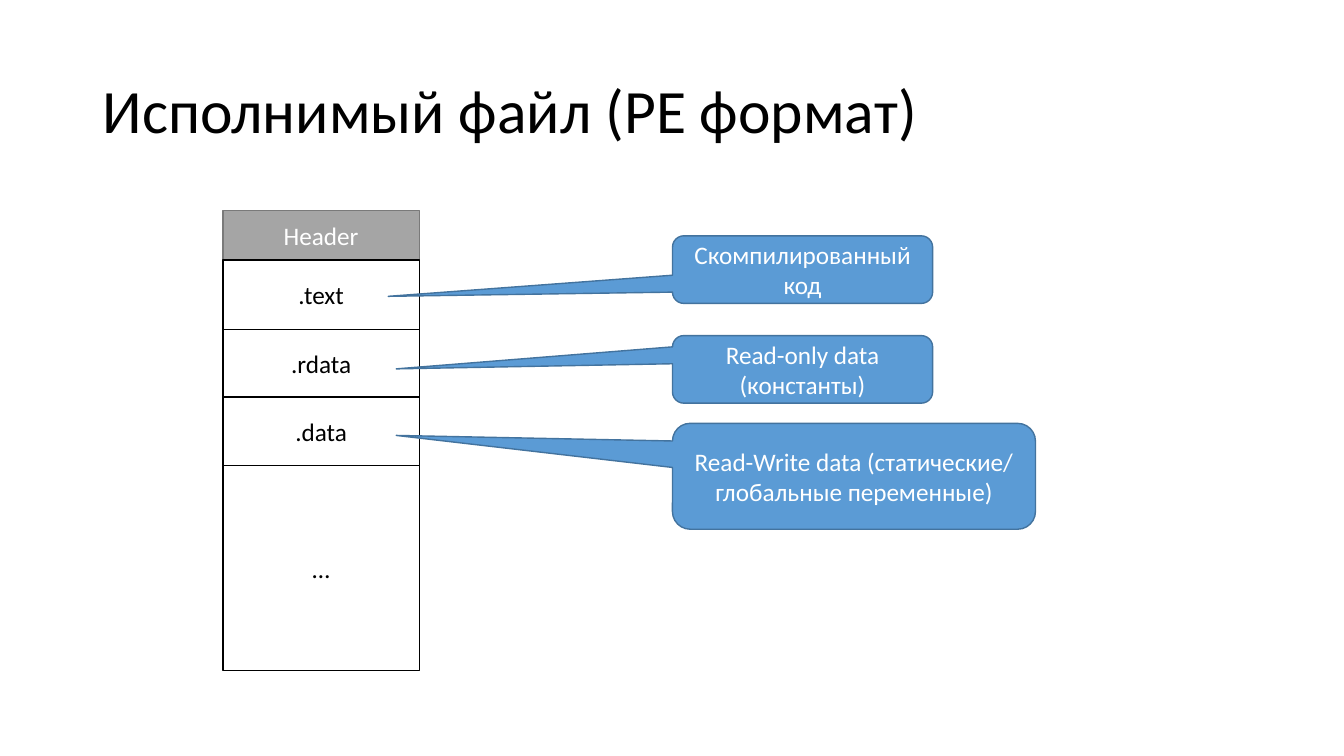
from dataclasses import dataclass

from pptx import Presentation
from pptx.dml.color import RGBColor
from pptx.enum.shapes import MSO_SHAPE
from pptx.enum.text import MSO_ANCHOR, PP_ALIGN
from pptx.shapes.autoshape import Shape
from pptx.shapes.shapetree import GroupShapes, SlideShapes
from pptx.util import Emu, Pt

EMU_PER_PX = 9144
FONT = "Calibri"
BLACK, WHITE = "000000", "FFFFFF"
SECTION_LEFT, SECTION_TOP, SECTION_WIDTH = 221, 209, 195
NOTE_LEFT = 667


@dataclass(frozen=True)
class Section:
    label: str
    height: int
    fill: str = WHITE
    outline: str = BLACK
    ink: str = BLACK


@dataclass(frozen=True)
class Note:
    text: str
    top: int
    width: int
    height: int
    tip_x: int
    tip_y: int


SECTIONS = [
    Section("Header", 49, "A5A5A5", "7A7A7A", WHITE),
    Section(".text", 69),
    Section(".rdata", 67),
    Section(".data", 68),
    Section("…", 203),
]

NOTES = [
    Note("Скомпилированный код", 234, 258, 67, 385, 294),
    Note("Read-only data (константы)", 333, 258, 67, 393, 366),
    Note("Read-Write data (статические/ глобальные переменные)", 420, 360, 105, 393, 432),
]


def px(length: int) -> Emu:
    return Emu(length * EMU_PER_PX)


def color(value: str) -> RGBColor:
    return RGBColor.from_string(value)


def write(shape: Shape, text: str, size: int, ink: str, align: PP_ALIGN) -> None:
    frame = shape.text_frame
    frame.word_wrap = True
    frame.vertical_anchor = MSO_ANCHOR.MIDDLE
    paragraph = frame.paragraphs[0]
    paragraph.text = text
    paragraph.alignment = align
    paragraph.font.name = FONT
    paragraph.font.size = Pt(size)
    paragraph.font.color.rgb = color(ink)


def paint(shape: Shape, fill: str, outline: str) -> None:
    shape.shadow.inherit = False
    shape.fill.solid()
    shape.fill.fore_color.rgb = color(fill)
    shape.line.color.rgb = color(outline)
    shape.line.width = Pt(1)


def draw_title(shapes: SlideShapes) -> None:
    title = shapes.add_textbox(px(92), px(40), px(1150), px(145))
    write(title, "Исполнимый файл (PE формат)", 44, BLACK, PP_ALIGN.LEFT)
    title.text_frame.paragraphs[0].line_spacing = 0.9


def draw_section(shapes: GroupShapes, section: Section, top: int) -> None:
    block = shapes.add_shape(
        MSO_SHAPE.RECTANGLE, px(SECTION_LEFT), px(top), px(SECTION_WIDTH), px(section.height)
    )
    paint(block, section.fill, section.outline)
    write(block, section.label, 18, section.ink, PP_ALIGN.CENTER)


def draw_note(shapes: SlideShapes, note: Note) -> None:
    callout = shapes.add_shape(
        MSO_SHAPE.ROUNDED_RECTANGULAR_CALLOUT,
        px(NOTE_LEFT), px(note.top), px(note.width), px(note.height),
    )
    callout.adjustments[0] = (note.tip_x - NOTE_LEFT) / note.width - 0.5
    callout.adjustments[1] = (note.tip_y - note.top) / note.height - 0.5
    paint(callout, "5B9BD5", "43739E")
    write(callout, note.text, 18, WHITE, PP_ALIGN.CENTER)


def main() -> None:
    presentation = Presentation()
    presentation.slide_width = px(1333)
    presentation.slide_height = px(750)
    slide = presentation.slides.add_slide(presentation.slide_layouts[6])

    draw_title(slide.shapes)
    file_layout = slide.shapes.add_group_shape()
    top = SECTION_TOP
    for section in SECTIONS:
        draw_section(file_layout.shapes, section, top)
        top += section.height
    for note in NOTES:
        draw_note(slide.shapes, note)

    presentation.save("out.pptx")


if __name__ == "__main__":
    main()
